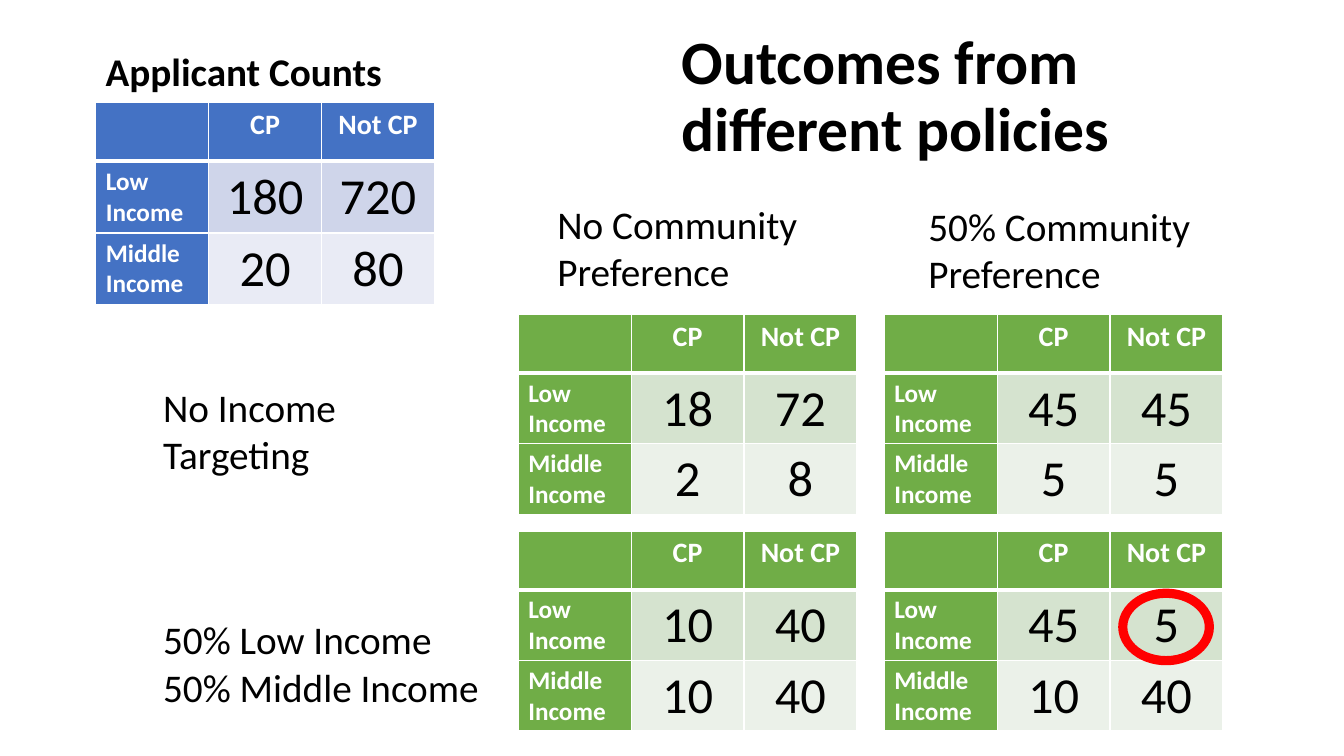
from dataclasses import dataclass

from lxml import etree
from pptx import Presentation
from pptx.dml.color import RGBColor
from pptx.enum.shapes import MSO_SHAPE
from pptx.enum.text import MSO_ANCHOR, MSO_AUTO_SIZE, PP_ALIGN
from pptx.oxml.ns import qn
from pptx.util import Emu, Pt

DONUT = MSO_SHAPE.DONUT
MIDDLE = MSO_ANCHOR.MIDDLE
FIXED = MSO_AUTO_SIZE.NONE
GROW = MSO_AUTO_SIZE.SHAPE_TO_FIT_TEXT
LEFT, CENTER = PP_ALIGN.LEFT, PP_ALIGN.CENTER

PX = 9144  # 100 px to the inch
COL_WIDTH = 112
ROW_HEIGHTS = (58, 70, 70)
COLUMN_HEADS = ("", "CP", "Not CP")
ROW_HEADS = ("Low Income", "Middle Income")


@dataclass(frozen=True)
class Theme:
    font: str = "Calibri"
    ink: str = "000000"
    white: str = "FFFFFF"
    ring: str = "FF0000"
    # Header fill, then one fill for each body row
    blue: tuple = ("4472C4", "CFD5EA", "E9EBF5")
    green: tuple = ("70AD47", "D5E3CF", "EBF1E9")
    title_size: int = 44
    label_size: int = 28
    column_size: int = 20
    row_size: int = 18
    value_size: int = 36


THEME = Theme()


def px(*lengths):
    return [Emu(n * PX) for n in lengths]


def write(tf, text, size=THEME.label_size, color=THEME.ink, bold=False,
          align=LEFT, spacing=None):
    """Fill a text frame, one paragraph for each line of text."""
    for i, line in enumerate(text.split("\n")):
        p = tf.add_paragraph() if i else tf.paragraphs[0]
        p.alignment = align
        p.line_spacing = spacing
        r = p.add_run()
        r.text = line
        r.font.name = THEME.font
        r.font.size = Pt(size)
        r.font.bold = bold
        r.font.color.rgb = RGBColor.from_string(color)


def add_title(s, text, box):
    sp = s.shapes.title
    sp.left, sp.top, sp.width, sp.height = px(*box)
    tf = sp.text_frame
    tf.word_wrap = True
    tf.auto_size = FIXED
    tf.vertical_anchor = MIDDLE
    write(tf, text, size=THEME.title_size, bold=True, spacing=0.9)


def add_label(s, text, box, wrap=True, **text_format):
    tf = s.shapes.add_textbox(*px(*box)).text_frame
    tf.word_wrap = wrap
    tf.auto_size = GROW
    write(tf, text, **text_format)


def style_cell(cell, fill, top=1, bottom=1):
    """Give a cell white borders, widths in points, and a solid fill."""
    tc_pr = cell._tc.get_or_add_tcPr()
    for side, width in (("L", 1), ("R", 1), ("T", top), ("B", bottom)):
        ln = etree.SubElement(tc_pr, qn(f"a:ln{side}"), w=str(Pt(width)))
        solid = etree.SubElement(ln, qn("a:solidFill"))
        etree.SubElement(solid, qn("a:srgbClr"), val=THEME.white)
    cell.fill.solid()
    cell.fill.fore_color.rgb = RGBColor.from_string(fill)


def add_counts_table(s, left, top, values, fills):
    """Draw a table of income rows by community preference columns."""
    box = px(left, top, COL_WIDTH * len(COLUMN_HEADS), sum(ROW_HEIGHTS))
    table = s.shapes.add_table(len(ROW_HEIGHTS), len(COLUMN_HEADS), *box).table
    table.first_col = True
    for col in table.columns:
        col.width = Emu(COL_WIDTH * PX)
    for row, height in zip(table.rows, ROW_HEIGHTS):
        row.height = Emu(height * PX)

    # Column heads
    for c, head in enumerate(COLUMN_HEADS):
        cell = table.cell(0, c)
        style_cell(cell, fills[0], bottom=3)
        if head:
            write(cell.text_frame, head, size=THEME.column_size,
                  color=THEME.white, bold=True, align=CENTER)

    # Row heads and counts
    for r, (head, counts) in enumerate(zip(ROW_HEADS, values), 1):
        edge = 3 if r == 1 else 1
        cell = table.cell(r, 0)
        style_cell(cell, fills[0], top=edge)
        write(cell.text_frame, head, size=THEME.row_size,
              color=THEME.white, bold=True)
        for c, count in enumerate(counts, 1):
            cell = table.cell(r, c)
            style_cell(cell, fills[r], top=edge)
            write(cell.text_frame, str(count), size=THEME.value_size,
                  align=CENTER)


def add_ring(s, box):
    sp = s.shapes.add_shape(DONUT, *px(*box))
    sp.adjustments[0] = 0.12
    sp.shadow.inherit = False
    sp.fill.solid()
    sp.fill.fore_color.rgb = RGBColor.from_string(THEME.ring)
    sp.line.fill.background()


def main():
    prs = Presentation()
    prs.slide_width, prs.slide_height = px(1333, 750)
    s = prs.slides.add_slide(prs.slide_layouts[5])
    add_title(s, "Outcomes from different policies", (666, 25, 550, 145))

    # Applicants
    add_counts_table(s, 95, 102, ((180, 720), (20, 80)), THEME.blue)
    add_label(s, "Applicant Counts", (95, 42, 297, 88), wrap=False, bold=True)

    # Outcomes: income targeting down, community preference across
    outcomes = (
        (((18, 72), (2, 8)), ((45, 45), (5, 5))),
        (((10, 40), (10, 40)), ((45, 5), (10, 40))),
    )
    for i, policies in enumerate(outcomes):
        for j, values in enumerate(policies):
            add_counts_table(s, 514 + 363 * j, 312 + 215 * i, values,
                             THEME.green)

    # Policy labels
    for text, box in (
        ("No Income Targeting", (152, 375, 194, 104)),
        ("50% Low Income\n50% Middle Income", (152, 606, 336, 104)),
        ("No Community Preference", (543, 194, 280, 104)),
        ("50% Community Preference", (911, 196, 317, 104)),
    ):
        add_label(s, text, box)

    # Highlighted outcome
    add_ring(s, (1109, 584, 95, 76))
    prs.save("out.pptx")


if __name__ == "__main__":
    main()
